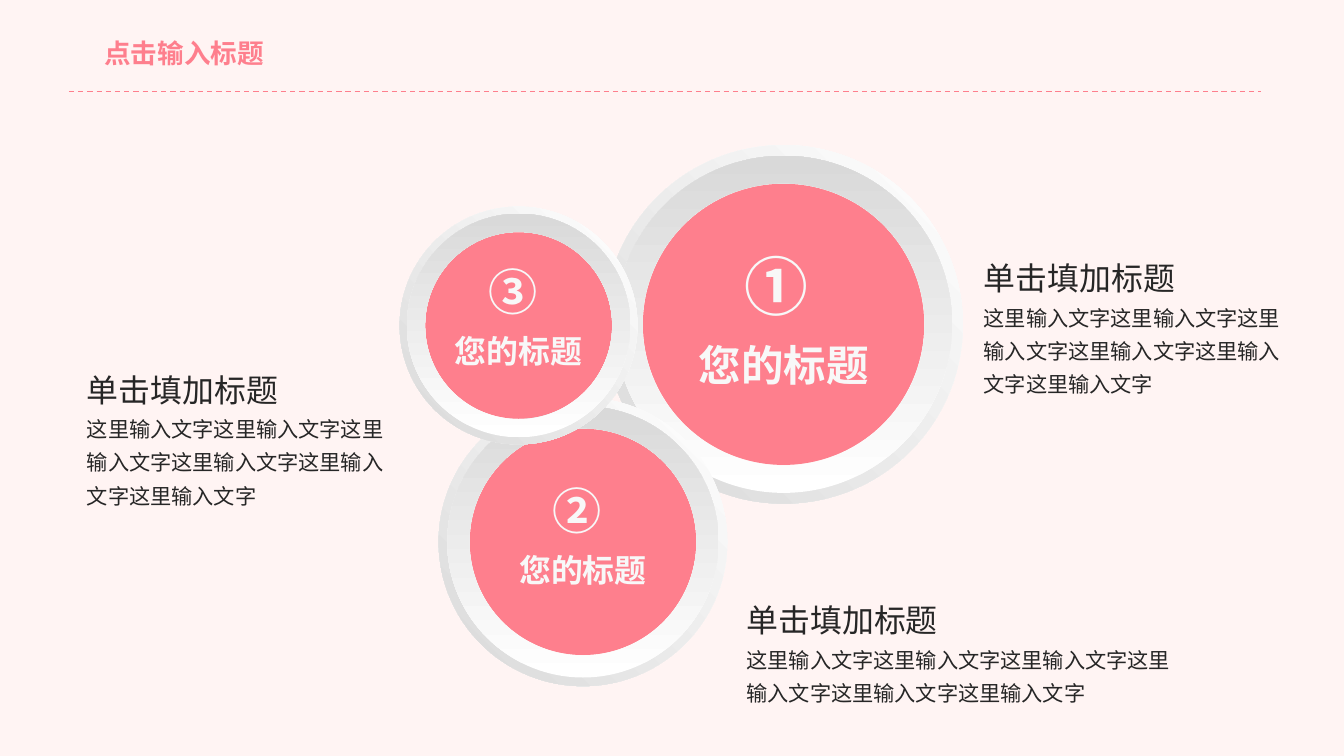
from pptx import Presentation
from pptx.dml.color import RGBColor as Rgb
from pptx.enum.dml import MSO_LINE as Dash
from pptx.enum.shapes import MSO_CONNECTOR as Link, MSO_SHAPE as Kind
from pptx.enum.text import MSO_ANCHOR as Anchor, MSO_AUTO_SIZE as Auto, PP_ALIGN as Align
from pptx.oxml.ns import qn
from pptx.util import Cm, Pt
from lxml.etree import SubElement

FACE = "Noto Sans CJK SC"
PINK, PALE, DARK, ROSE = "FE7F8D", "F8F8F8", "262626", "FFF4F3"
WHITE, GREY = "FFFFFF", "D9D9D9"
LABEL, HEAD, BODY = "您的标题", "单击填加标题", "这里输入文字" * 6
DISCS = [
    ((20.82, 8.62), 9.53, (5.82, 4.67), "① ", (48, 32)),
    ((15.49, 14.4), 7.67, (12.17, 3.66), "② ", (37, 24)),
    ((13.78, 8.65), 6.32, (6.35, 3.66), "③ ", (37, 24)),
]
NOTES = [
    (19.51, 15.49, 12.37, 4.75),
    (25.81, 6.4, 8.99, 5.64),
    (1.98, 9.37, 8.99, 5.64),
]


def tint(part, color):
    """Give a fill, font or gradient stop a hex colour."""
    if hasattr(part, "solid"):
        part.solid()
        part = part.fore_color
    else:
        part = part.color
    part.rgb = Rgb.from_string(color)


def apply(item, values):
    """Set each attribute named in a dict."""
    for name, value in values.items():
        setattr(item, name, value)


def write(shape, lines, color, inset, bold=False, wrap=True, align=Align.LEFT, space=1.3):
    """Fill a shape with (text, size) paragraphs."""
    frame = shape.text_frame
    across, down = map(Cm, inset)
    apply(frame, {
        "margin_left": across, "margin_right": across,
        "margin_top": down, "margin_bottom": down, "word_wrap": wrap,
        "auto_size": Auto.SHAPE_TO_FIT_TEXT, "vertical_anchor": Anchor.TOP,
    })
    for spot, (text, size) in enumerate(lines):
        para = frame.add_paragraph() if spot else frame.paragraphs[0]
        apply(para, {"alignment": align, "line_spacing": space})
        run = para.add_run()
        run.text = text
        apply(run.font, {"size": Pt(size), "bold": bold, "name": FACE})
        tint(run.font, color)
        SubElement(run.font._element, qn("a:ea"), typeface=FACE)


def round_part(group, kind, mid, size):
    """Add a borderless round shape centred on a point."""
    left, top = (Cm(spot - size / 2) for spot in mid)
    shape = group.shapes.add_shape(kind, left, top, Cm(size), Cm(size))
    shape.shadow.inherit = False
    shape.line.fill.background()
    return shape


def ring(group, mid, size, hole, angle):
    """Add a white to grey ring."""
    shape = round_part(group, Kind.DONUT, mid, size)
    shape.adjustments[0] = hole
    shape.fill.gradient()
    shape.fill.gradient_angle = angle
    for stop, color in zip(shape.fill.gradient_stops, (WHITE, GREY)):
        tint(stop, color)


def disc(slide, mid, size, band, mark, sizes):
    """Add a numbered disc inside two rings."""
    group = slide.shapes.add_group_shape()
    tint(round_part(group, Kind.OVAL, mid, size * 0.784).fill, PINK)
    ring(group, mid, size, 0.101, 225)
    ring(group, mid, size * 0.94, 0.081, 90)
    top, high = band
    wide = size * 1.045
    box = group.shapes.add_textbox(Cm(mid[0] - wide / 2), Cm(top), Cm(wide), Cm(high))
    write(box, zip((mark, LABEL), sizes), PALE, (0.25, 0.13), bold=True, align=Align.CENTER)


def note(slide, area):
    """Add a heading with its text in the given box."""
    box = slide.shapes.add_textbox(*map(Cm, area))
    write(box, [(HEAD, 24), (BODY, 16)], DARK, (0.33, 0.18))


def header(slide, left, top, wide, high):
    """Place the title and the dashed rule below it."""
    title = slide.shapes.title
    apply(title, {"left": Cm(left), "top": Cm(top), "width": Cm(wide), "height": Cm(high)})
    write(title, [("点击输入标题", 20)], PINK, (0.28, 0.13), bold=True, wrap=False, space=1.0)
    level = Cm(top + 1.6)
    rule = slide.shapes.add_connector(Link.STRAIGHT, Cm(left - 0.66), level, Cm(left + 31.01), level)
    SubElement(rule._element.spPr, qn("a:effectLst"))
    tint(rule.line.fill, PINK)
    apply(rule.line, {"width": Pt(1), "dash_style": Dash.DASH})


def main():
    """Build and save the slide."""
    deck = Presentation()
    apply(deck, {"slide_width": Cm(35.71), "slide_height": Cm(20.09)})
    slide = deck.slides.add_slide(deck.slide_layouts[5])
    tint(slide.background.fill, ROSE)
    for item in DISCS:
        disc(slide, *item)
    for area in NOTES:
        note(slide, area)
    header(slide, 2.49, 0.84, 4.83, 1.12)
    deck.save("out.pptx")


if __name__ == "__main__":
    main()
